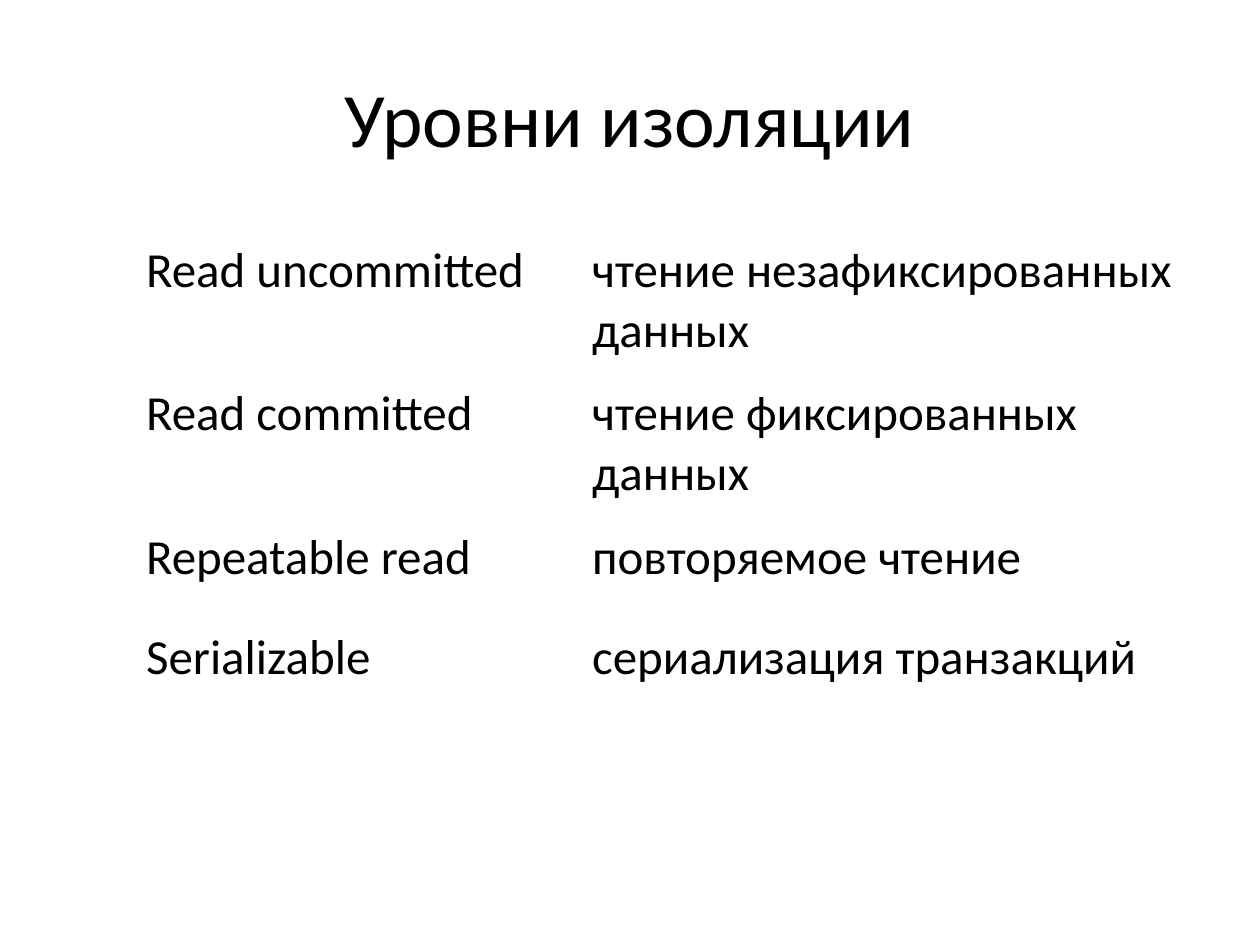
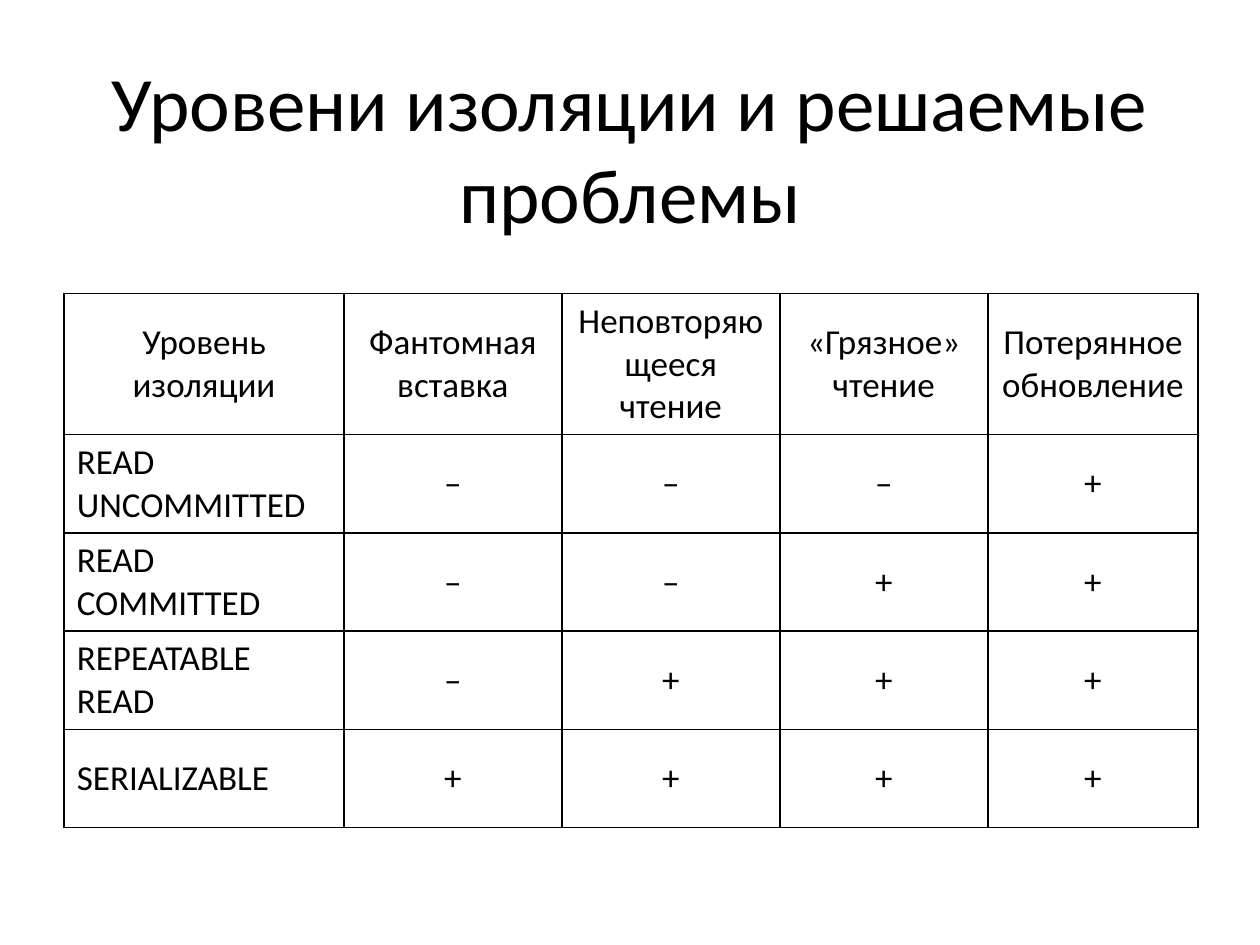
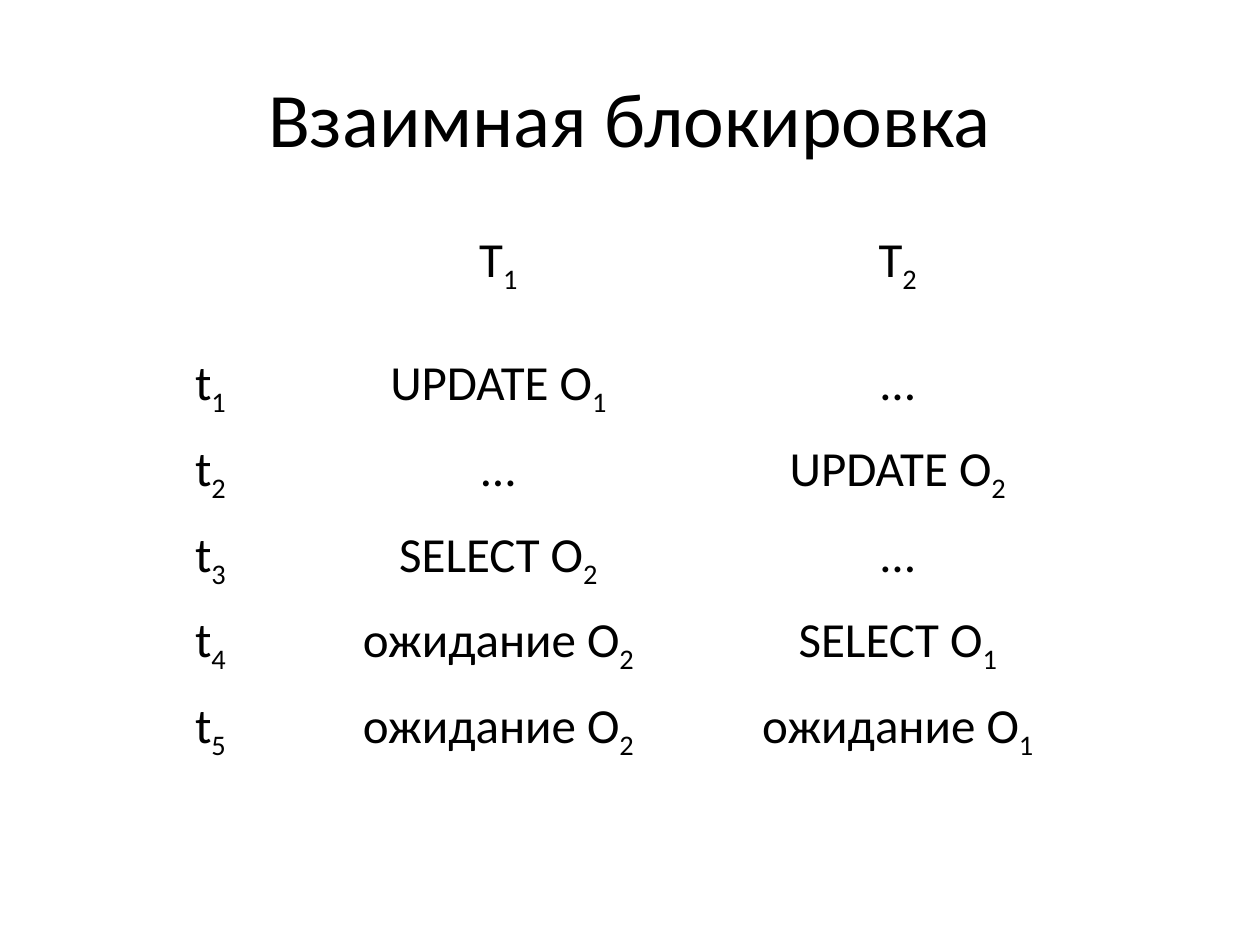
from lxml.etree import SubElement
from pptx import Presentation
from pptx.dml.color import RGBColor
from pptx.enum.text import MSO_ANCHOR, PP_ALIGN
from pptx.oxml.ns import qn
from pptx.util import Inches, Pt

SLIDE_WIDTH, SLIDE_HEIGHT = Inches(10), Inches(7.5)
FONT = "Calibri"
INK = "000000"
PAPER = "FFFFFF"
TITLE_SIZE = 44
NO_GRID_STYLE = "{2D5ABB26-0587-4C30-8999-92F81FD0307C}"

ISOLATION_LEVELS = [
    ("Read uncommitted", "чтение незафиксированных данных"),
    ("Read committed", "чтение фиксированных данных"),
    ("Repeatable read", "повторяемое чтение"),
    ("Serializable", "сериализация транзакций"),
]
SOLVED_PROBLEMS = [
    ("Уровень изоляции", "Фантомная вставка", "Неповторяющееся чтение",
     "«Грязное» чтение", "Потерянное обновление"),
    ("READ UNCOMMITTED", "–", "–", "–", "+"),
    ("READ COMMITTED", "–", "–", "+", "+"),
    ("REPEATABLE READ", "–", "+", "+", "+"),
    ("SERIALIZABLE", "+", "+", "+", "+"),
]
# An underscore marks the start of a subscript.
DEADLOCK_STEPS = [
    ("", "T_1", "T_2"),
    ("t_1", "UPDATE O_1", "…"),
    ("t_2", "…", "UPDATE O_2"),
    ("t_3", "SELECT O_2", "…"),
    ("t_4", "ожидание O_2", "SELECT O_1"),
    ("t_5", "ожидание O_2", "ожидание O_1"),
]


def color(hex_value):
    return RGBColor.from_string(hex_value)


def add_span(para, text, size, subscript=False):
    span = para.add_run()
    span.text = text
    span.font.name = FONT
    span.font.size = Pt(size)
    span.font.color.rgb = color(INK)
    if subscript:
        span.font._element.set("baseline", "-25000")


def write_text(para, text, size, align):
    """Write text, lowering whatever follows an underscore."""
    para.alignment = align
    base, _, index = text.partition("_")
    if base:
        add_span(para, base, size)
    if index:
        add_span(para, index, size, subscript=True)


def add_page(deck, title, title_height):
    """Add a blank page with a title whose height is a share of the slide."""
    page = deck.slides.add_slide(deck.slide_layouts[6])
    page.background.fill.solid()
    page.background.fill.fore_color.rgb = color(PAPER)
    box = page.shapes.add_textbox(
        int(SLIDE_WIDTH * 0.05), int(SLIDE_HEIGHT * 0.04),
        int(SLIDE_WIDTH * 0.9), int(SLIDE_HEIGHT * title_height))
    frame = box.text_frame
    frame.word_wrap = True
    frame.vertical_anchor = MSO_ANCHOR.MIDDLE
    write_text(frame.paragraphs[0], title, TITLE_SIZE, PP_ALIGN.CENTER)
    return page


def add_borders(cell, width=1):
    properties = cell._tc.get_or_add_tcPr()
    for side in ("lnL", "lnR", "lnT", "lnB"):
        line = SubElement(properties, qn(f"a:{side}"), w=str(Pt(width)))
        fill = SubElement(line, qn("a:solidFill"))
        SubElement(fill, qn("a:srgbClr"), val=INK)


def add_grid(page, left, top, widths, heights, rows, size, align,
             anchor=MSO_ANCHOR.TOP, bordered=False):
    """Add a plain table; align(row, column) gives each cell's alignment."""
    frame = page.shapes.add_table(
        len(rows), len(widths), Inches(left), Inches(top),
        Inches(sum(widths)), Inches(sum(heights)))
    table = frame.table
    table.first_row = table.horz_banding = False
    table._tbl.tblPr.find(qn("a:tableStyleId")).text = NO_GRID_STYLE
    for column, width in zip(table.columns, widths):
        column.width = Inches(width)
    for row, height in zip(table.rows, heights):
        row.height = Inches(height)
    for row_index, texts in enumerate(rows):
        for column_index, text in enumerate(texts):
            cell = table.cell(row_index, column_index)
            cell.vertical_anchor = anchor
            if bordered:
                add_borders(cell)
            cell.fill.background()
            write_text(cell.text_frame.paragraphs[0], text, size,
                       align(row_index, column_index))


def align_left(row, column):
    return PP_ALIGN.LEFT


def align_center(row, column):
    return PP_ALIGN.CENTER


def align_row_names_left(row, column):
    return PP_ALIGN.LEFT if row and not column else PP_ALIGN.CENTER


def main():
    deck = Presentation()
    deck.slide_width, deck.slide_height = SLIDE_WIDTH, SLIDE_HEIGHT

    levels_page = add_page(deck, "Уровни изоляции", 1 / 6)
    add_grid(levels_page, 1.06, 1.86, [3.54, 4.88], [1.14] * 2 + [0.79] * 2,
             ISOLATION_LEVELS, 28, align_left)

    problems_page = add_page(deck, "Уровени изоляции и решаемые проблемы", 0.23)
    add_grid(problems_page, 0.51, 2.33, [2.22, 1.73, 1.73, 1.65, 1.67],
             [1.12] + [0.78] * 4, SOLVED_PROBLEMS, 20, align_row_names_left,
             MSO_ANCHOR.MIDDLE, bordered=True)

    deadlock_page = add_page(deck, "Взаимная блокировка", 1 / 6)
    add_grid(deadlock_page, 1.14, 1.78, [1.06, 3.51, 2.83],
             [0.98] + [0.68] * 5, DEADLOCK_STEPS, 28, align_center)

    deck.save("out.pptx")


if __name__ == "__main__":
    main()
